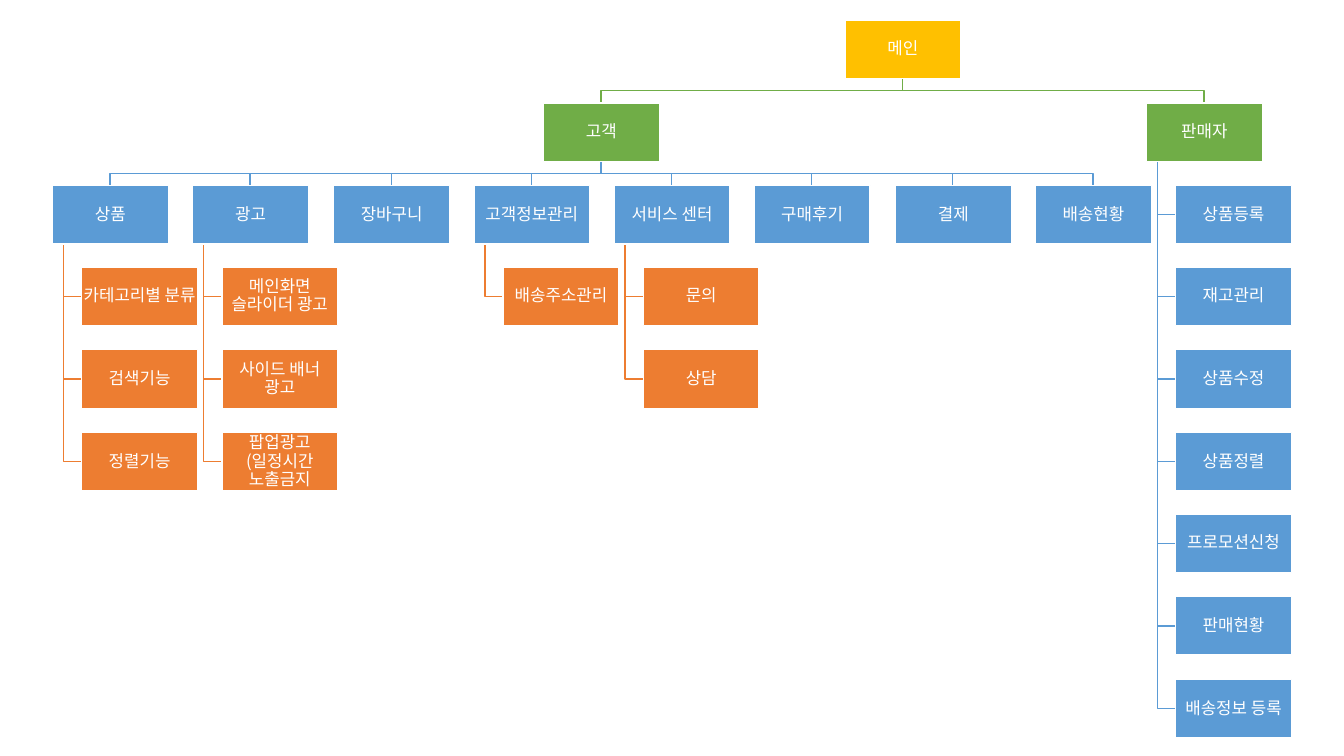
from dataclasses import dataclass

from lxml.etree import SubElement
from pptx import Presentation
from pptx.dml.color import RGBColor as Rgb
from pptx.enum.shapes import MSO_SHAPE as Preset
from pptx.enum.text import MSO_ANCHOR as Anchor, PP_ALIGN as Align
from pptx.oxml.ns import qn
from pptx.util import Pt

PX = 9144
SLIDE_WIDTH, SLIDE_HEIGHT = 1333, 750
BOX_WIDTH, BOX_HEIGHT = 115, 58
FIRST_LEFT, MENU_SPAN = 52, 975
FIRST_TOP, ROW_SPAN, ROW_GAPS = 20, 654, 8
INDENT, TRUNK = 29, 11


@dataclass(frozen=True)
class Theme:
    main: str = "FFC000"
    role: str = "70AD47"
    menu: str = "5B9BD5"
    submenu: str = "ED7D31"
    white: str = "FFFFFF"
    font: str = "Noto Sans CJK KR"
    label: float = 12
    after: float = 4.2
    leading: float = 0.9
    line: float = 1


THEME = Theme()

CUSTOMER_MENUS = (
    ("상품", ("카테고리별 분류", "검색기능", "정렬기능")),
    ("광고", ("메인화면 슬라이더 광고", "사이드 배너 광고", "팝업광고(일정시간 노출금지")),
    ("장바구니", ()),
    ("고객정보관리", ("배송주소관리",)),
    ("서비스 센터", ("문의", "상담")),
    ("구매후기", ()),
    ("결제", ()),
    ("배송현황", ()),
)
SELLER_MENUS = ("상품등록", "재고관리", "상품수정", "상품정렬", "프로모션신청", "판매현황", "배송정보 등록")


@dataclass(frozen=True)
class Node:
    label: str
    left: int
    row: int
    color: str

    @property
    def top(self):
        return FIRST_TOP + round(ROW_SPAN * self.row / ROW_GAPS)

    @property
    def bottom(self):
        return self.top + BOX_HEIGHT

    @property
    def center(self):
        return self.left + BOX_WIDTH // 2


def column_left(column):
    return FIRST_LEFT + round(MENU_SPAN * column / (len(CUSTOMER_MENUS) - 1))


def stack_below(parent, labels, color):
    return [Node(label, parent.left + INDENT, parent.row + step, color)
            for step, label in enumerate(labels, 1)]


def add_branch(slide, points, color):
    builder = slide.shapes.build_freeform(*points[0], scale=PX)
    builder.add_line_segments(points[1:], close=False)
    branch = builder.convert_to_shape()
    branch.shadow.inherit = False
    branch.fill.background()
    branch.line.color.rgb = Rgb.from_string(color)
    branch.line.width = Pt(THEME.line)


def link_spread(slide, parent, children):
    for child in reversed(children):
        bus = (parent.bottom + child.top) // 2
        add_branch(slide, [(parent.center, parent.bottom), (parent.center, bus),
                           (child.center, bus), (child.center, child.top)], child.color)


def link_stack(slide, parent, children):
    trunk = parent.left + TRUNK
    for child in reversed(children):
        middle = child.top + BOX_HEIGHT // 2
        add_branch(slide, [(trunk, parent.bottom), (trunk, middle),
                           (child.left, middle)], child.color)


def add_node(slide, node):
    box = slide.shapes.add_shape(Preset.RECTANGLE, node.left * PX, node.top * PX,
                                 BOX_WIDTH * PX, BOX_HEIGHT * PX)
    box.shadow.inherit = False
    box.fill.solid()
    box.fill.fore_color.rgb = Rgb.from_string(node.color)
    box.line.color.rgb = Rgb.from_string(THEME.white)
    box.line.width = Pt(THEME.line)
    frame = box.text_frame
    frame.word_wrap = True
    frame.vertical_anchor = Anchor.MIDDLE
    frame.margin_left = frame.margin_right = PX
    frame.margin_top = frame.margin_bottom = PX
    paragraph = frame.paragraphs[0]
    paragraph.alignment = Align.CENTER
    paragraph.line_spacing = THEME.leading
    paragraph.space_after = Pt(THEME.after)
    run = paragraph.add_run()
    run.text = node.label
    run.font.size = Pt(THEME.label)
    run.font.color.rgb = Rgb.from_string(THEME.white)
    run.font.name = THEME.font
    SubElement(run.font._element, qn("a:ea"), typeface=THEME.font)


def main():
    deck = Presentation()
    deck.slide_width, deck.slide_height = SLIDE_WIDTH * PX, SLIDE_HEIGHT * PX
    slide = deck.slides.add_slide(deck.slide_layouts[6])

    customer = Node("고객", FIRST_LEFT + MENU_SPAN // 2, 1, THEME.role)
    seller = Node("판매자", column_left(len(CUSTOMER_MENUS)) - INDENT, 1, THEME.role)
    home = Node("메인", (customer.left + seller.left) // 2, 0, THEME.main)
    menus = [Node(label, column_left(column), 2, THEME.menu)
             for column, (label, _) in enumerate(CUSTOMER_MENUS)]
    submenus = [stack_below(menu, labels, THEME.submenu)
                for menu, (_, labels) in zip(menus, CUSTOMER_MENUS)]
    seller_menus = stack_below(seller, SELLER_MENUS, THEME.menu)

    link_stack(slide, seller, seller_menus)
    link_spread(slide, home, [customer, seller])
    link_spread(slide, customer, menus)
    for menu, stack in zip(menus, submenus):
        link_stack(slide, menu, stack)

    nodes = [home, customer]
    for menu, stack in zip(menus, submenus):
        nodes += [menu, *stack]
    for node in [*nodes, seller, *seller_menus]:
        add_node(slide, node)

    deck.save("out.pptx")


if __name__ == "__main__":
    main()
